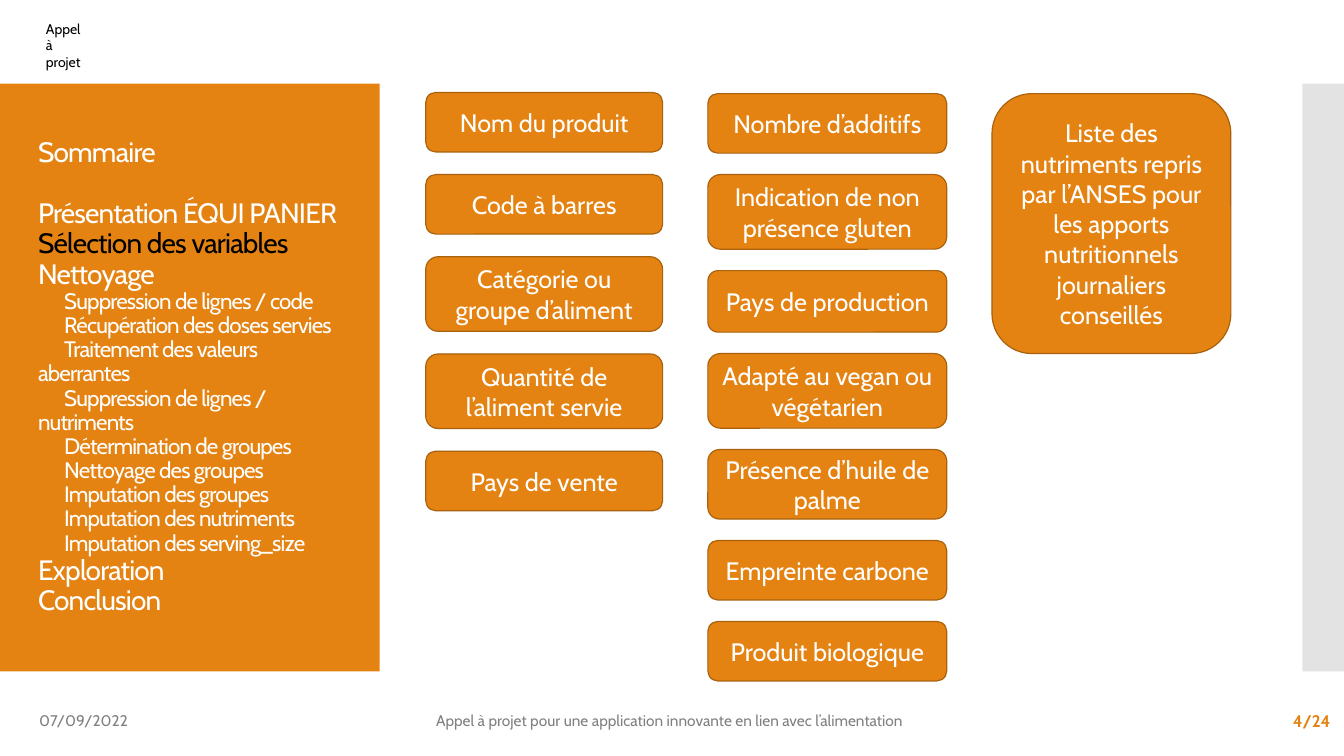
from pptx import Presentation
from pptx import util as u
from pptx.dml.color import RGBColor
from pptx.enum import shapes, text
from pptx.oxml.ns import qn
from lxml import etree

ORANGE, EDGE, GREY = "E48312", "A9610D", "808080"
WHITE, BLACK = "FFFFFF", "000000"
ALIGN = text.PP_ALIGN

LEFT_COL = [("Nom du produit", 1.5), ("Code à barres", 1.5),
            ("Catégorie ou groupe d’aliment", 1.88),
            ("Quantité de l’aliment servie", 1.88), ("Pays de vente", 1.5)]
MID_COL = [("Nombre d’additifs", 1.5),
           ("Indication de non présence gluten", 1.88),
           ("Pays de production", 1.55),
           ("Adapté au vegan ou végétarien", 1.88),
           ("Présence d’huile de palme", 1.75),
           ("Empreinte carbone", 1.5), ("Produit biologique", 1.5)]
LAST_COL = [("Liste des nutriments repris par l’ANSES pour les apports "
             "nutritionnels journaliers conseillés", 6.55)]
STEPS = ["Suppression de lignes / code", "Récupération des doses servies",
         "Traitement des valeurs aberrantes",
         "Suppression de lignes / nutriments", "Détermination de groupes",
         "Nettoyage des groupes", "Imputation des groupes",
         "Imputation des nutriments", "Imputation des serving_size"]


def paint(target, color):
    """Give a fill a solid colour."""
    target.solid()
    target.fore_color.rgb = RGBColor.from_string(color)


def write(para, words, size=18, color=WHITE, bold=False, align=ALIGN.LEFT):
    para.alignment = align
    run = para.add_run()
    run.text = words
    font = run.font
    font.name, font.size, font.bold = "Cabin", u.Pt(size), bold
    paint(font.fill, color)
    return run


def block(slide, kind, *box, fill=ORANGE, edge=None):
    """Add a filled shape; box is left, top, width, height in cm."""
    shape = slide.shapes.add_shape(kind, *map(u.Cm, box))
    shape.shadow.inherit = False
    paint(shape.fill, fill)
    if edge:
        paint(shape.line.fill, edge)
        shape.line.width = u.Pt(0.85)
    else:
        shape.line.fill.background()
    return shape


def frame(slide, *box, anchor=text.MSO_ANCHOR.MIDDLE):
    """Add an empty wrapping text box; box is in cm."""
    area = slide.shapes.add_textbox(*map(u.Cm, box)).text_frame
    area.word_wrap = True
    area.vertical_anchor = anchor
    return area


def label(slide, words, *box, anchor=text.MSO_ANCHOR.MIDDLE, **style):
    area = frame(slide, *box, anchor=anchor)
    write(area.paragraphs[0], words, **style)


def stack(slide, items, left, top, width, gap):
    """Pile rounded boxes downwards with an equal gap."""
    for words, height in items:
        box = block(slide, shapes.MSO_SHAPE.ROUNDED_RECTANGLE,
                    left, top, width, height, edge=EDGE)
        area = box.text_frame
        area.word_wrap = True
        area.vertical_anchor = text.MSO_ANCHOR.MIDDLE
        write(area.paragraphs[0], words, align=ALIGN.CENTER)
        top += height + gap


def agenda(slide):
    lines = [("Sommaire", 20, WHITE), ("Présentation ÉQUI PANIER", 20, WHITE),
             ("Sélection des variables", 20, BLACK), ("Nettoyage", 20, WHITE)]
    lines += [(step, 16, WHITE) for step in STEPS]
    lines += [("Exploration", 20, WHITE), ("Conclusion", 20, WHITE)]
    area = frame(slide, 0.71, 3.12, 8.33, 12.78)
    for i, (words, size, color) in enumerate(lines):
        para = area.add_paragraph() if i else area.paragraphs[0]
        para.line_spacing = 0.9
        if i == 1:
            para.space_before = u.Pt(22)
        run = write(para, words, size=size, color=color)
        run.font._element.set("spc", "-60")
        if words in STEPS:
            props = para._p.get_or_add_pPr()
            props.set("marL", "0")
            props.set("indent", str(u.Cm(0.66)))


def panels(slide):
    rect = shapes.MSO_SHAPE.RECTANGLE
    block(slide, rect, 0, 2.11, 9.57, 14.81)
    side = block(slide, rect, 32.82, 2.11, 1.05, 14.81, fill="C8C8C8")
    tint = side._element.spPr.find(qn("a:solidFill"))[0]
    etree.SubElement(tint, qn("a:alpha")).set("val", "50000")


def margins(slide):
    """Add the header and the footer."""
    label(slide, "Appel à projet", 0.91, 0.38, 1.5, 1.55,
          anchor=text.MSO_ANCHOR.TOP, size=10, color=BLACK)
    label(slide, "07/09/2022", 0.74, 17.65, 7.62, 1.02, size=11, color=GREY)
    label(slide, "Appel à projet pour une application innovante en lien avec "
          "l’alimentation", 10.74, 17.65, 16.41, 1.02, size=11, color=GREY)
    label(slide, "4/24", 29.54, 17.65, 4.24, 1.02, size=12, color=ORANGE,
          bold=True, align=ALIGN.RIGHT)


def main():
    deck = Presentation()
    deck.slide_width, deck.slide_height = u.Cm(33.87), u.Cm(19.05)
    slide = deck.slides.add_slide(deck.slide_layouts[6])
    panels(slide)
    margins(slide)
    stack(slide, LEFT_COL, 10.73, 2.33, 5.97, 0.57)
    stack(slide, MID_COL, 17.84, 2.36, 6.02, 0.54)
    stack(slide, LAST_COL, 25, 2.36, 6.02, 0)
    agenda(slide)
    deck.save("out.pptx")


if __name__ == "__main__":
    main()
